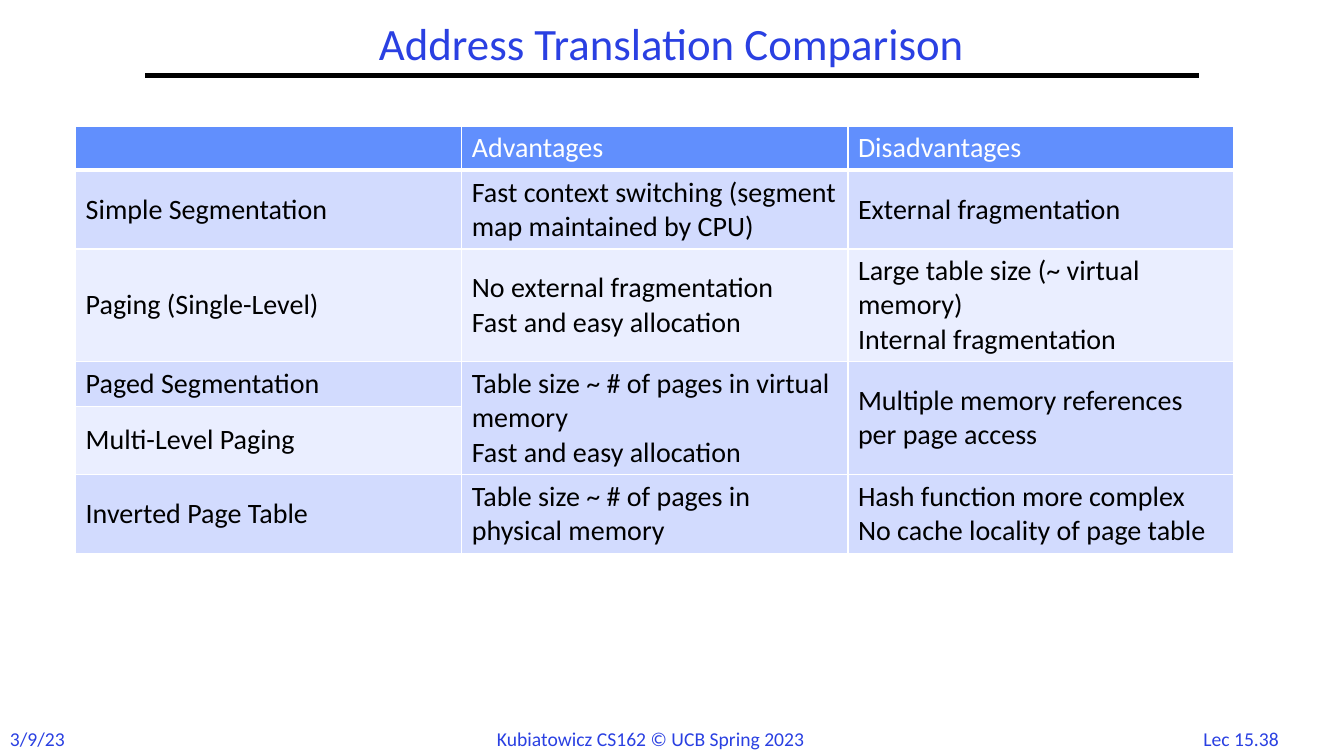
import dataclasses

import pptx
import pptx.dml.color
import pptx.enum.shapes
import pptx.enum.text
import pptx.oxml
import pptx.oxml.ns
import pptx.util

Inches = pptx.util.Inches
ALIGN = pptx.enum.text.PP_ALIGN
MIDDLE = pptx.enum.text.MSO_ANCHOR.MIDDLE


@dataclasses.dataclass(frozen=True)
class Theme:
    font: str = "Calibri"
    accent: str = "2A40E2"
    text: str = "000000"
    white: str = "FFFFFF"
    header: str = "618FFD"
    bands: tuple = ("EAEEFF", "D2DBFE")
    title_size: int = 32
    table_size: int = 20
    footer_size: int = 14
    rule_width: int = 3
    border_width: int = 1
    header_border_width: int = 3


THEME = Theme()

COMPARISON = [
    ["", "Advantages", "Disadvantages"],
    ["Simple Segmentation",
     "Fast context switching (segment map maintained by CPU)",
     "External fragmentation"],
    ["Paging (Single-Level)",
     "No external fragmentation\nFast and easy allocation",
     "Large table size (~ virtual memory)\nInternal fragmentation"],
    ["Paged Segmentation",
     "Table size ~ # of pages in virtual memory\vFast and easy allocation",
     "Multiple memory references per page access"],
    ["Multi-Level Paging", "", ""],
    ["Inverted Page Table",
     "Table size ~ # of pages in physical memory",
     "Hash function more complex\nNo cache locality of page table"],
]
ROW_HEIGHTS = [0.44, 0.78, 1.12, 0.44, 0.68, 0.78]
COLUMN_WIDTH = 3.83
SHARED_ROWS = (3, 4)


def rgb(color):
    return pptx.dml.color.RGBColor.from_string(color)


def format_text(frame, size, color, align=ALIGN.LEFT):
    for paragraph in frame.paragraphs:
        paragraph.alignment = align
        for span in paragraph.runs:
            span.font.name = THEME.font
            span.font.size = pptx.util.Pt(size)
            span.font.bold = False
            span.font.color.rgb = rgb(color)


def set_title(page, text):
    title = page.shapes.title
    title.left, title.top = Inches(1.44), Inches(0.17)
    title.width, title.height = Inches(10.44), Inches(0.58)
    frame = title.text_frame
    frame.text = text
    frame.vertical_anchor = MIDDLE
    frame.paragraphs[0].line_spacing = 0.9
    format_text(frame, THEME.title_size, THEME.accent, ALIGN.CENTER)


def add_title_rule(page):
    rule = page.shapes.add_connector(
        pptx.enum.shapes.MSO_CONNECTOR.STRAIGHT,
        Inches(1.44), Inches(0.75), Inches(11.89), Inches(0.75))
    rule.line.color.rgb = rgb(THEME.text)
    rule.line.width = pptx.util.Pt(THEME.rule_width)
    properties = rule._element.spPr
    properties.append(properties.makeelement(pptx.oxml.ns.qn("a:effectLst"), {}))


def add_footer(page, text, left, width, align=ALIGN.LEFT):
    box = page.shapes.add_textbox(
        Inches(left), Inches(7.16), Inches(width), Inches(0.34))
    box.text_frame.word_wrap = False
    box.text_frame.text = text
    format_text(box.text_frame, THEME.footer_size, THEME.accent, align)


def set_borders(cell, bottom_width):
    """Draw white lines on all four sides, the bottom one at its own width."""
    properties = cell._tc.get_or_add_tcPr()
    for index, side in enumerate("LRTB"):
        points = bottom_width if side == "B" else THEME.border_width
        border = pptx.oxml.parse_xml(
            f'<a:ln{side} {pptx.oxml.ns.nsdecls("a")} w="{pptx.util.Pt(points)}">'
            f'<a:solidFill><a:srgbClr val="{THEME.white}"/></a:solidFill>'
            f'</a:ln{side}>')
        properties.insert(index, border)


def fill_cell(cell, text, row):
    is_header = row == 0
    cell.text_frame.text = text
    cell.vertical_anchor = MIDDLE
    format_text(cell.text_frame, THEME.table_size,
                THEME.white if is_header else THEME.text)
    cell.fill.solid()
    cell.fill.fore_color.rgb = rgb(THEME.header if is_header else THEME.bands[row % 2])
    set_borders(cell, THEME.header_border_width if is_header else THEME.border_width)


def add_comparison_table(page):
    column_count = len(COMPARISON[0])
    table = page.shapes.add_table(
        len(COMPARISON), column_count, Inches(0.75), Inches(1.25),
        Inches(COLUMN_WIDTH * column_count), Inches(sum(ROW_HEIGHTS))).table
    for column in table.columns:
        column.width = Inches(COLUMN_WIDTH)
    for row, texts in enumerate(COMPARISON):
        table.rows[row].height = Inches(ROW_HEIGHTS[row])
        for column, text in enumerate(texts):
            fill_cell(table.cell(row, column), text, row)
    first, last = SHARED_ROWS
    for column in range(1, column_count):
        table.cell(first, column).merge(table.cell(last, column))


def main():
    deck = pptx.Presentation()
    deck.slide_width, deck.slide_height = Inches(13.33), Inches(7.5)
    page = deck.slides.add_slide(deck.slide_layouts.get_by_name("Title Only"))
    add_footer(page, "Lec 15.38", 11.77, 1.08, ALIGN.CENTER)
    add_footer(page, "3/9/23", 0, 0.75)
    add_title_rule(page)
    add_footer(page, "Kubiatowicz CS162 © UCB Spring 2023", 4.83, 3.68)
    set_title(page, "Address Translation Comparison")
    add_comparison_table(page)
    deck.save("out.pptx")


if __name__ == "__main__":
    main()
